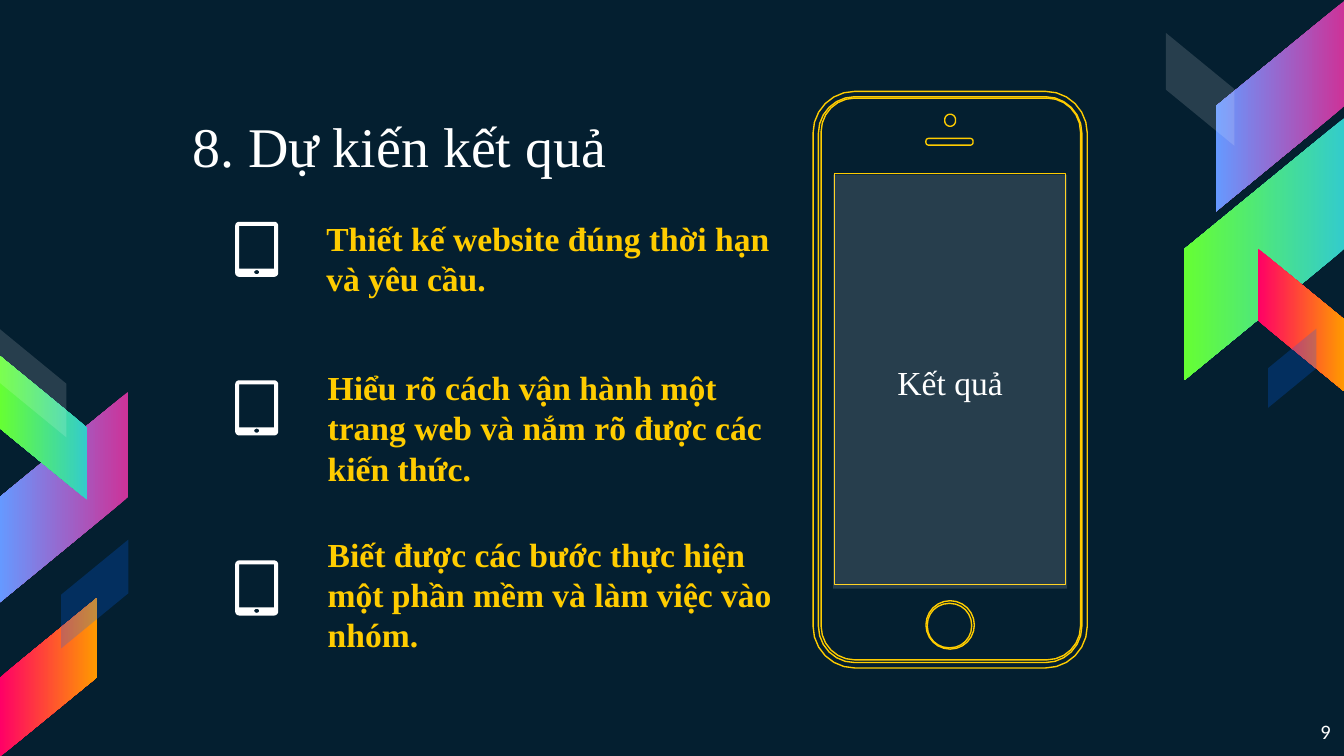
import math
import lxml.etree
import pptx
import pptx.oxml.ns
import pptx.util
from pptx.dml.color import RGBColor
from pptx.enum.shapes import MSO_SHAPE
from pptx.enum.text import MSO_ANCHOR, PP_ALIGN

Inches, Pt = pptx.util.Inches, pptx.util.Pt
NAVY = RGBColor(0x04, 0x1F, 0x30)
WHITE = RGBColor(0xFF, 0xFF, 0xFF)
YELLOW = RGBColor(0xFF, 0xCC, 0x00)
BLUE = RGBColor(0x00, 0x66, 0xFF)
PURPLES = RGBColor(0xCC, 0x33, 0x99), RGBColor(0x66, 0x99, 0xFF)
GREENS = RGBColor(0x33, 0xCC, 0xCC), RGBColor(0x66, 0xFF, 0x33)
REDS = RGBColor(0xFF, 0x00, 0x66), RGBColor(0xFF, 0x99, 0x00)
SERIF = "Times New Roman"

# Content
TITLE = "8. Dự kiến kết quả"
SCREEN_TEXT = "Kết quả"
PAGE = "9"
# icon top, text left, text top, text
RESULTS = [
    (1.65, 2.33, 1.65, "Thiết kế website đúng thời hạn và yêu cầu."),
    (2.83, 2.34, 3.06, "Hiểu rõ cách vận hành một trang web và nắm rõ được các kiến thức."),
    (4.17, 2.34, 4.3, "Biết được các bước thực hiện một phần mềm và làm việc vào nhóm."),
]
# left, top, width, height, rotation, flipped, gradient pair or (colour, opacity %)
RIBBONS = [
    (8.74, 0.31, 1.57, 0.96, 90, True, PURPLES),
    (8.43, 1.26, 1.95, 1.19, 90, True, GREENS),
    (9.15, 2.06, 1.06, 0.64, 270, False, REDS),
    (8.51, 0.41, 0.84, 0.51, 270, False, (WHITE, 14)),
    (9.32, 2.56, 0.59, 0.36, 270, True, (BLUE, 23)),
    (-0.31, 3.22, 1.57, 0.96, 90, True, PURPLES),
    (-0.21, 2.86, 1.07, 0.65, 90, False, GREENS),
    (-0.23, 4.68, 1.18, 0.72, 270, True, REDS),
    (-0.16, 2.6, 0.81, 0.5, 270, False, (WHITE, 14)),
    (0.3, 4.17, 0.81, 0.5, 270, True, (BLUE, 23)),
]
# left, top, right, bottom, corner radius
PHONE = [
    (6.05, 0.68, 8.09, 4.97, 0.31),   # case
    (6.09, 0.72, 8.05, 4.93, 0.27),   # bezel, outer
    (6.11, 0.73, 8.04, 4.91, 0.25),   # bezel, inner
    (7.03, 0.85, 7.11, 0.94, 0.04),   # camera
    (6.89, 1.03, 7.24, 1.08, 0.02),   # speaker
    (6.21, 1.29, 7.93, 4.35, 0),      # screen
    (6.89, 4.47, 7.25, 4.83, 0.18),   # home button, outer
    (6.9, 4.49, 7.23, 4.82, 0.16),    # home button, inner
]
# the same, from the icon's top left corner
TABLET = [
    (0, 0, 0.32, 0.41, 0.03),
    (0.03, 0.03, 0.29, 0.35, 0),
    (0.14, 0.36, 0.18, 0.39, 0.02),
]


def box(left, top, width, height):
    return Inches(left), Inches(top), Inches(width), Inches(height)


def set_solid(sp, colour, opacity):
    sp.fill.solid()
    sp.fill.fore_color.rgb = colour
    clr = sp._element.spPr.find(".//" + pptx.oxml.ns.qn("a:srgbClr"))
    alpha = lxml.etree.SubElement(clr, pptx.oxml.ns.qn("a:alpha"))
    alpha.set("val", str(opacity * 1000))


def write(sp, text, size, colour=WHITE, font=SERIF, bold=False,
          align=PP_ALIGN.LEFT, anchor=MSO_ANCHOR.BOTTOM, before=0):
    tf = sp.text_frame
    tf.word_wrap = True
    tf.vertical_anchor = anchor
    tf.margin_left = tf.margin_right = tf.margin_top = tf.margin_bottom = Inches(0.1)
    p = tf.paragraphs[0]
    p.alignment = align
    p.space_before = Pt(before)
    r = p.add_run()
    r.text = text
    r.font.size, r.font.name, r.font.bold = Pt(size), font, bold
    r.font.color.rgb = colour


def contour(left, top, right, bottom, radius):
    """Points of a rounded rectangle, clockwise from the top left corner."""
    corners = [(left + radius, top + radius, 180), (right - radius, top + radius, 270),
               (right - radius, bottom - radius, 0), (left + radius, bottom - radius, 90)]
    turns = range(0, 91, 15) if radius else [0]
    return [(Inches(x + radius * math.cos(math.radians(start + turn))),
             Inches(y + radius * math.sin(math.radians(start + turn))))
            for x, y, start in corners for turn in turns]


def add_outline(s, parts, dx=0, dy=0):
    outlines = [contour(l + dx, t + dy, r + dx, b + dy, radius) for l, t, r, b, radius in parts]
    fb = s.shapes.build_freeform(*outlines[0][0])
    for i, points in enumerate(outlines):
        if i:
            fb.move_to(*points[0])
        fb.add_line_segments(points[1:], close=True)
    sp = fb.convert_to_shape()
    sp.shadow.inherit = False
    return sp


# Widescreen slide, 16:9
prs = pptx.Presentation()
prs.slide_width = Inches(10)
prs.slide_height = prs.slide_width * 9 // 16
s = prs.slides.add_slide(prs.slide_layouts[5])
s.background.fill.solid()
s.background.fill.fore_color.rgb = NAVY

# Ribbons at both edges
for left, top, width, height, rotation, flipped, paint in RIBBONS:
    sp = s.shapes.add_shape(MSO_SHAPE.PARALLELOGRAM, *box(left, top, width, height))
    sp.adjustments[0] = 0.82
    sp.rotation = rotation
    if flipped:
        sp._element.spPr.xfrm.set("flipH", "1")
    sp.shadow.inherit = False
    sp.line.fill.background()
    if isinstance(paint[1], RGBColor):
        sp.fill.gradient()
        sp.fill.gradient_angle = 270
        for stop, colour in zip(sp.fill.gradient_stops, paint):
            stop.color.rgb = colour
    else:
        set_solid(sp, *paint)

# Phone and its screen
phone = add_outline(s, PHONE)
phone.fill.background()
phone.line.color.rgb = YELLOW
phone.line.width = Pt(0.75)
screen = s.shapes.add_shape(MSO_SHAPE.RECTANGLE, *box(6.2, 1.3, 1.74, 3.08))
screen.shadow.inherit = False
screen.line.fill.background()
set_solid(screen, WHITE, 14)
write(screen, SCREEN_TEXT, 18, align=PP_ALIGN.CENTER, anchor=MSO_ANCHOR.MIDDLE)

# Title and page number
title = s.shapes.title
title.left, title.top, title.width, title.height = box(1.33, 0.68, 3.92, 0.75)
write(title, TITLE, 30)
write(s.shapes.add_textbox(*box(9.36, 5.26, 0.64, 0.36)), PAGE, 11, font="Calibri",
      align=PP_ALIGN.RIGHT, anchor=MSO_ANCHOR.TOP)

# Expected results, each with a tablet icon
for icon_top, left, top, text in RESULTS:
    icon = add_outline(s, TABLET, 1.75, icon_top)
    icon.fill.solid()
    icon.fill.fore_color.rgb = WHITE
    icon.line.fill.background()
    write(s.shapes.add_textbox(*box(left, top, 3.54, 0.67)), text, 18, YELLOW,
          bold=True, before=6)

prs.save("out.pptx")
